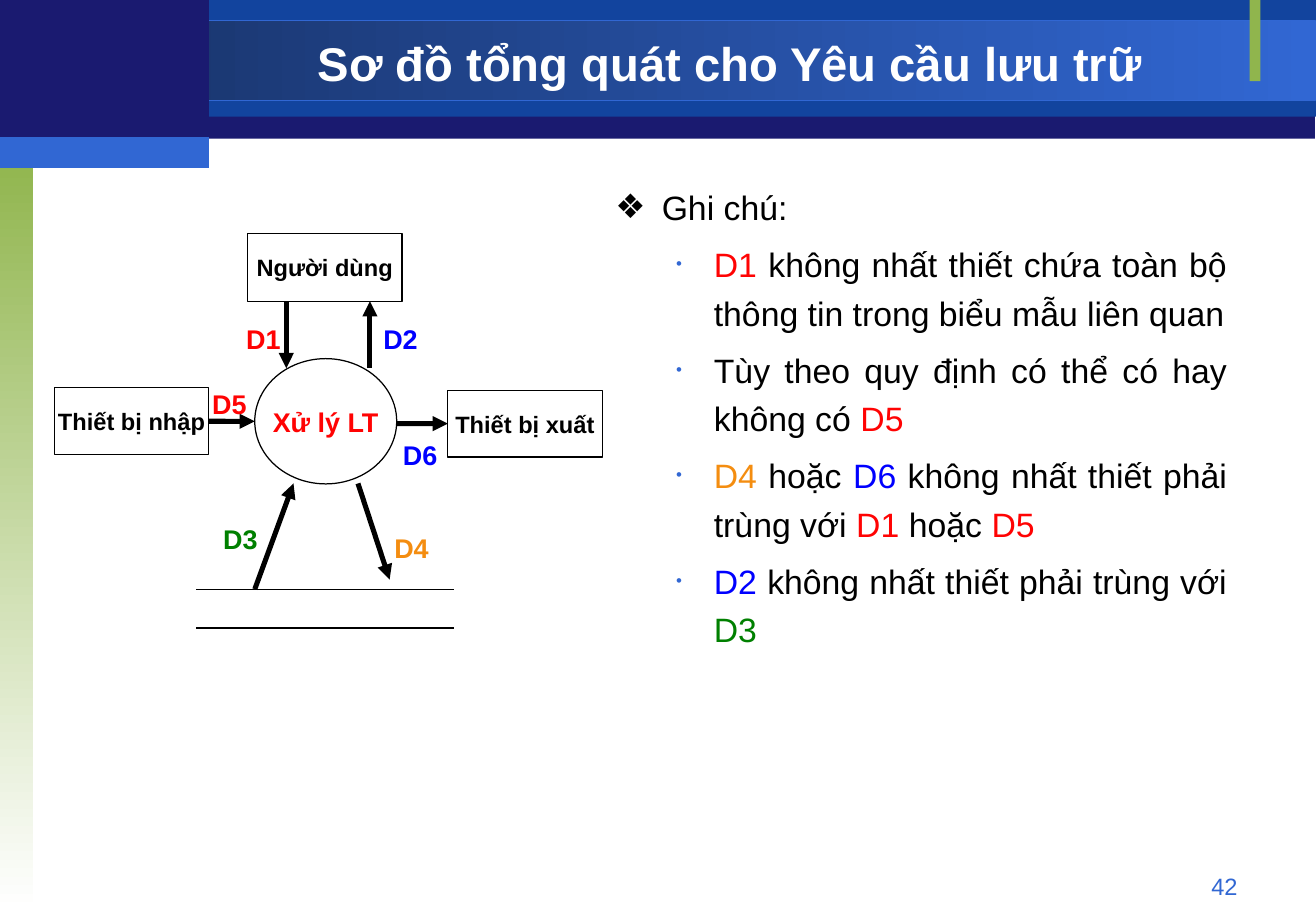
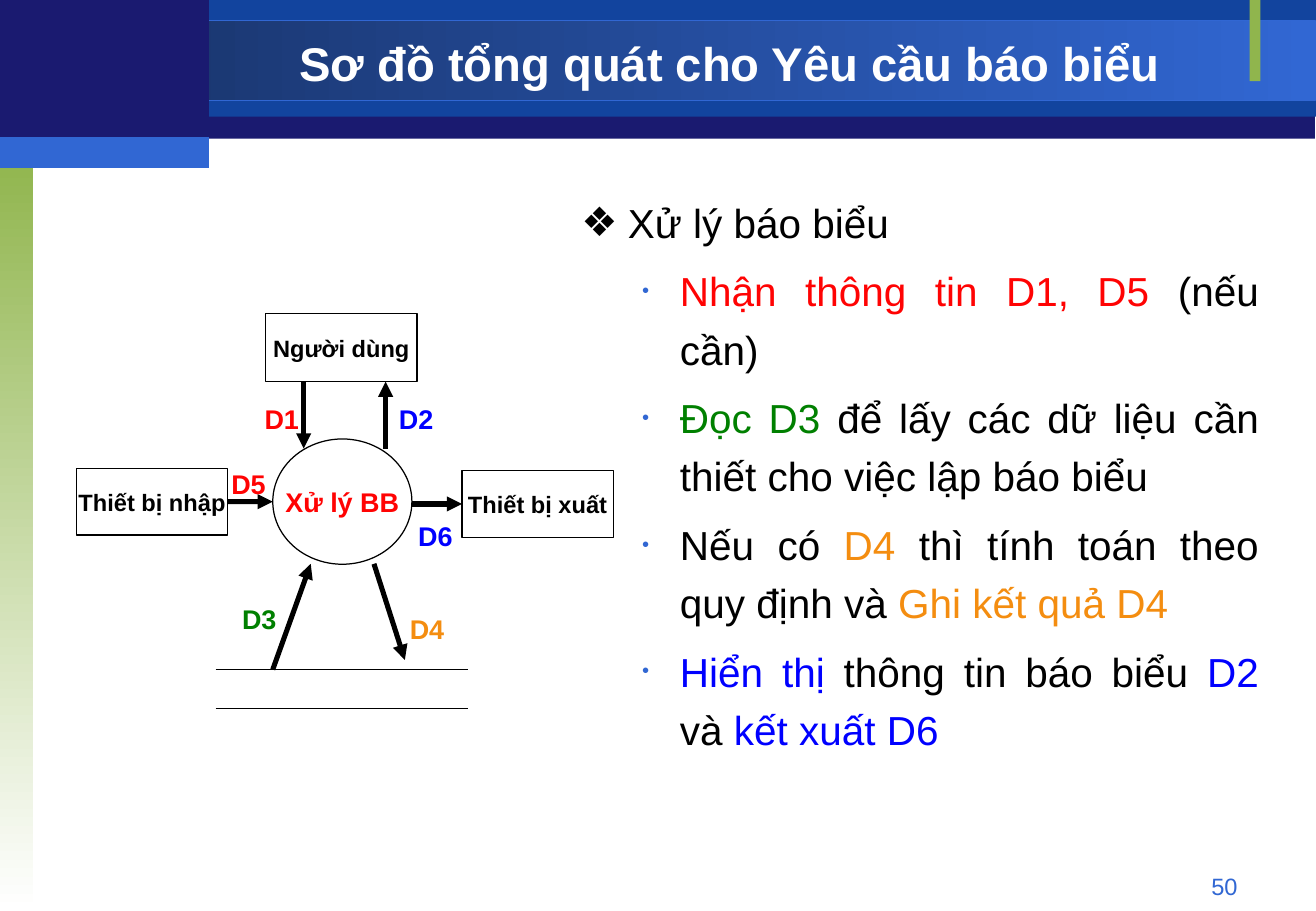
from dataclasses import dataclass

from lxml.etree import SubElement
from pptx import Presentation
from pptx.dml.color import RGBColor
from pptx.enum.shapes import MSO_CONNECTOR, MSO_SHAPE
from pptx.enum.text import MSO_ANCHOR, MSO_AUTO_SIZE, PP_ALIGN
from pptx.oxml.ns import qn
from pptx.util import Cm, Pt


@dataclass(frozen=True)
class Theme:
    font: str = "Arial"
    black: str = "000000"
    white: str = "FFFFFF"
    red: str = "FF0303"
    blue: str = "0000FF"
    green: str = "008000"
    orange: str = "F48D10"
    navy: str = "1A1A70"
    royal: str = "12449E"
    dusk: str = "173062"
    sky: str = "3167D3"
    leaf: str = "90B54D"
    title_size: int = 28
    flow_size: int = 16
    box_size: int = 14
    number_size: int = 14
    thin: float = 0.75
    thick: float = 3

    def rgb(self, name):
        return RGBColor.from_string(getattr(self, name))


THEME = Theme()

# Lengths below are centimetres.
SLIDE_SIZE = (27.53, 19.05)
TITLE_AREA = (4.37, 0.58, 21.79, 1.47)
NUMBER_AREA = (19.71, 18.11, 6.43, 0.69)

# area, colours (two make a gradient), gradient angle, outline
BANDS = [
    ((0, 0.03, 27.51, 2.87), ("navy",), 0, None),
    ((4.37, 0, 23.16, 2.44), ("royal",), 0, None),
    ((0, 0.43, 27.51, 1.68), ("dusk", "sky"), 0, "sky"),
    ((0, 3.18, 0.69, 15.87), ("leaf", "white"), 270, None),
    ((26.14, 0, 0.23, 1.7), ("leaf",), 0, None),
    ((0, 0, 4.37, 2.97), ("navy",), 0, None),
    ((0, 2.87, 4.37, 0.64), ("sky",), 0, None),
]

# Bullet character, its colour, its size in percent, left margin, hanging indent
BULLETS = [("❖", "black", 100, 0.97, 0.97), ("•", "sky", 50, 2.06, 0.79)]

# The diagram is measured from its own top left corner.
DEVICES = {
    "user": ("Người dùng", (4.04, 0, 3.23, 1.42)),
    "input": ("Thiết bị nhập", (0, 3.23, 3.23, 1.4)),
    "output": ("Thiết bị xuất", (8.23, 3.28, 3.23, 1.4)),
}
PROCESS_AREA = (4.19, 2.62, 2.97, 2.62)
STORE_LINES = [((2.97, y), (8.36, y)) for y in (7.44, 8.25)]
LABEL_SIZE = (1.22, 0.94)
# name, colour, start, end, label corner
FLOWS = [
    ("D1", "red", (4.85, 1.42), (4.85, 2.82), (3.76, 1.73)),
    ("D2", "blue", (6.6, 2.82), (6.6, 1.42), (6.63, 1.73)),
    ("D3", "green", (4.19, 7.44), (5, 5.23), (3.28, 5.92)),
    ("D4", "orange", (6.35, 5.23), (7.01, 7.24), (6.86, 6.12)),
    ("D5", "red", (3.23, 3.93), (4.19, 3.93), (3.05, 3.1)),
    ("D6", "blue", (7.16, 3.98), (8.23, 3.98), (7.04, 4.17)),
]
RIGHT_SIDE, LEFT_SIDE = 3, 1

SLIDES = [
    {
        "title": "Sơ đồ tổng quát cho Yêu cầu lưu trữ",
        "number": "42",
        "process": "Xử lý LT",
        "diagram": {"origin": (1.14, 4.88), "stretch": 1},
        "notes_area": (12.62, 3.61, 13.31, 13.97),
        "notes_size": 20,
        "notes_gap": 5,
        "notes": [
            [("Ghi chú:", "black")],
            [("D1", "red"),
             (" không nhất thiết chứa toàn bộ thông tin trong biểu mẫu liên quan", "black")],
            [("Tùy theo quy định có thể có hay không có ", "black"), ("D5", "red")],
            [("D4", "orange"), (" hoặc ", "black"), ("D6", "blue"),
             (" không nhất thiết phải trùng với ", "black"), ("D1", "red"),
             (" hoặc ", "black"), ("D5", "red")],
            [("D2", "blue"), (" không nhất thiết phải trùng với ", "black"), ("D3", "green")],
        ],
    },
    {
        "title": "Sơ đồ tổng quát cho Yêu cầu báo biểu",
        "number": "50",
        "process": "Xử lý BB",
        "diagram": {"origin": (1.6, 6.56), "stretch": 0.98},
        "notes_area": (11.91, 3.81, 14.68, 13.97),
        "notes_size": 24,
        "notes_gap": 6,
        "notes": [
            [("Xử lý báo biểu", "black")],
            [("Nhận thông tin D1, D5", "red"), (" (nếu cần)", "black")],
            [("Đọc D3 ", "green"),
             ("để lấy các dữ liệu cần thiết cho việc lập báo biểu", "black")],
            [("Nếu có ", "black"), ("D4", "orange"),
             (" thì tính toán theo quy định và ", "black"), ("Ghi kết quả D4", "orange")],
            [("Hiển thị", "blue"), (" thông tin báo biểu ", "black"), ("D2", "blue"),
             (" và ", "black"), ("kết xuất D6", "blue")],
        ],
    },
]


def apply(target, **values):
    for name, value in values.items():
        setattr(target, name, value)


def place(shape, area):
    apply(shape, **dict(zip(("left", "top", "width", "height"), map(Cm, area))))


def add_run(paragraph, text, colour, size, bold=False):
    run = paragraph.add_run()
    run.text = text
    apply(run.font, name=THEME.font, size=Pt(size), bold=bold)
    run.font.color.rgb = THEME.rgb(colour)


def write_line(shape, text, colour, size, bold=False, align=PP_ALIGN.CENTER, **frame):
    apply(shape.text_frame, **frame)
    paragraph = shape.text_frame.paragraphs[0]
    paragraph.alignment = align
    add_run(paragraph, text, colour, size, bold)


def add_band(shapes, area, colours, angle, outline):
    band = shapes.add_shape(MSO_SHAPE.RECTANGLE, *map(Cm, area))
    band.shadow.inherit = False
    if len(colours) == 1:
        band.fill.solid()
        band.fill.fore_color.rgb = THEME.rgb(colours[0])
    else:
        band.fill.gradient()
        band.fill.gradient_angle = angle
        for position, (stop, colour) in enumerate(zip(band.fill.gradient_stops, colours)):
            stop.color.rgb = THEME.rgb(colour)
            stop.position = position
    if outline:
        band.line.color.rgb = THEME.rgb(outline)
        band.line.width = Pt(THEME.thin)
    else:
        band.line.fill.background()
    return band


def dress_layout(layout, slide):
    """Draw the bands on the slide, then move them behind the layout's placeholders."""
    first_child = 2
    for order, band_format in enumerate(BANDS):
        band = add_band(slide.shapes, *band_format).element
        band.nvSpPr.cNvPr.set("id", str(100 + order))
        layout.shapes.element.insert(first_child + order, band)
    place(layout.placeholders[0], TITLE_AREA)


def set_bullet(paragraph, char, colour, percent, margin, hanging):
    properties = paragraph._p.get_or_add_pPr()
    properties.set("marL", str(Cm(margin)))
    properties.set("indent", str(-Cm(hanging)))
    SubElement(SubElement(properties, qn("a:buClr")), qn("a:srgbClr"),
               val=getattr(THEME, colour))
    SubElement(properties, qn("a:buSzPct"), val=str(percent * 1000))
    SubElement(properties, qn("a:buFont"), typeface=THEME.font)
    SubElement(properties, qn("a:buChar"), char=char)


def write_notes(body, content):
    place(body, content["notes_area"])
    frame = body.text_frame
    apply(frame, auto_size=MSO_AUTO_SIZE.NONE, vertical_anchor=MSO_ANCHOR.TOP)
    for order, runs in enumerate(content["notes"]):
        paragraph = frame.add_paragraph() if order else frame.paragraphs[0]
        level = min(order, 1)
        set_bullet(paragraph, *BULLETS[level])
        apply(paragraph, level=level, alignment=PP_ALIGN.JUSTIFY, line_spacing=1.2,
              space_before=Pt(content["notes_gap"] if order else 0))
        for text, colour in runs:
            add_run(paragraph, text, colour, content["notes_size"])


class Diagram:
    """Data flow diagram, stretched sideways and moved to its origin."""

    def __init__(self, slide, origin, stretch):
        self.shapes = slide.shapes.add_group_shape().shapes
        self.origin, self.stretch = origin, stretch

    def point(self, x, y):
        return Cm(self.origin[0] + x * self.stretch), Cm(self.origin[1] + y)

    def node(self, preset, text, area, colour, size):
        x, y, width, height = area
        node = self.shapes.add_shape(
            preset, *self.point(x, y), Cm(width * self.stretch), Cm(height))
        node.shadow.inherit = False
        node.fill.background()
        node.line.color.rgb = THEME.rgb("black")
        node.line.width = Pt(THEME.thin)
        write_line(node, text, colour, size, bold=True,
                   word_wrap=False, vertical_anchor=MSO_ANCHOR.MIDDLE)
        return node

    def line(self, start, end, weight, arrow=False):
        line = self.shapes.add_connector(
            MSO_CONNECTOR.STRAIGHT, *self.point(*start), *self.point(*end))
        line.line.color.rgb = THEME.rgb("black")
        line.line.width = Pt(weight)
        properties = line.element.spPr
        if arrow:
            SubElement(properties.get_or_add_ln(), qn("a:tailEnd"), type="triangle")
        SubElement(properties, qn("a:effectLst"))
        return line

    def label(self, text, corner, colour):
        label = self.shapes.add_textbox(*self.point(*corner), *map(Cm, LABEL_SIZE))
        write_line(label, text, colour, THEME.flow_size, bold=True, align=PP_ALIGN.LEFT,
                   word_wrap=False, auto_size=MSO_AUTO_SIZE.SHAPE_TO_FIT_TEXT)

    def draw(self, process):
        devices = {key: self.node(MSO_SHAPE.RECTANGLE, text, area, "black", THEME.box_size)
                   for key, (text, area) in DEVICES.items()}
        self.node(MSO_SHAPE.OVAL, process, PROCESS_AREA, "red", THEME.flow_size)
        for start, end in STORE_LINES:
            self.line(start, end, THEME.thin)
        arrows = {name: self.line(start, end, THEME.thick, arrow=True)
                  for name, _, start, end, _ in FLOWS}
        arrows["D5"].begin_connect(devices["input"], RIGHT_SIDE)
        arrows["D6"].end_connect(devices["output"], LEFT_SIDE)
        for name, colour, _, _, corner in FLOWS:
            self.label(name, corner, colour)


def build_slide(slide, content):
    write_line(slide.shapes.title, content["title"], "white", THEME.title_size, bold=True,
               auto_size=MSO_AUTO_SIZE.NONE, vertical_anchor=MSO_ANCHOR.MIDDLE)
    write_notes(slide.placeholders[1], content)
    Diagram(slide, **content["diagram"]).draw(content["process"])
    number = slide.shapes.add_textbox(*map(Cm, NUMBER_AREA))
    write_line(number, content["number"], "sky", THEME.number_size,
               align=PP_ALIGN.RIGHT, word_wrap=True)


def main():
    deck = Presentation()
    deck.slide_width, deck.slide_height = map(Cm, SLIDE_SIZE)
    layout = deck.slide_layouts[1]
    slides = [deck.slides.add_slide(layout) for _ in SLIDES]
    dress_layout(layout, slides[0])
    for slide, content in zip(slides, SLIDES):
        build_slide(slide, content)
    deck.save("out.pptx")


if __name__ == "__main__":
    main()
